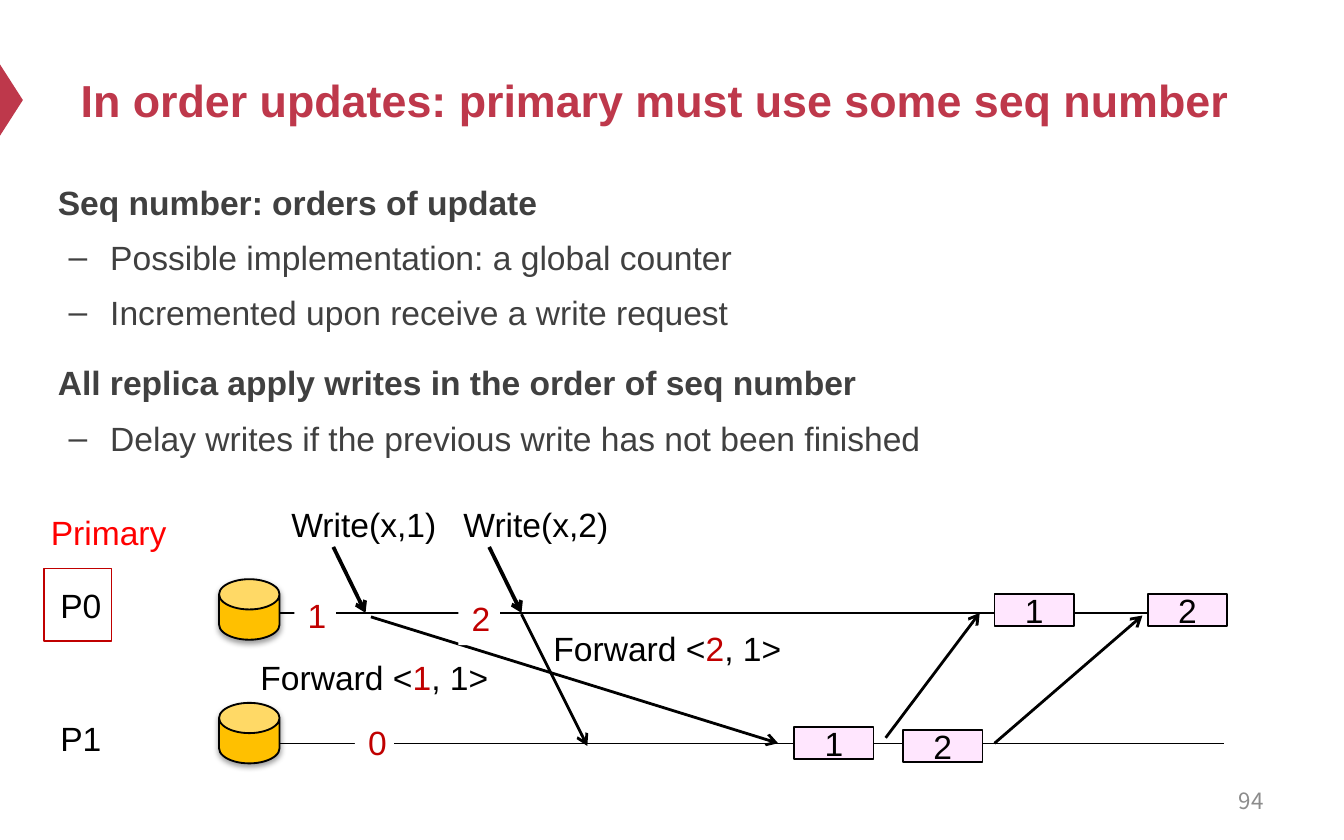
from typing import NamedTuple

from lxml.etree import SubElement
from pptx import Presentation
from pptx.dml.color import RGBColor
from pptx.enum.shapes import MSO_CONNECTOR as Conn, MSO_SHAPE as Geo
from pptx.enum.text import MSO_ANCHOR as Anchor, MSO_AUTO_SIZE as Fit, PP_ALIGN as Align
from pptx.oxml.ns import qn
from pptx.util import Inches, Pt

BLACK, RED, ROSE, GREY = "000000", "C00000", "BE384B", "404040"
P0_Y, P1_Y = 4.56, 5.53


class Label(NamedTuple):
    text: str  # parts between bars are red
    x: float
    y: float
    w: float
    color: str = BLACK


class Arrow(NamedTuple):
    x1: float
    y1: float
    x2: float
    y2: float
    width: float = 1.5


class Mark(NamedTuple):
    text: str
    x: float
    y: float
    w: float = 0.59
    h: float = 0.24


POINTS = [
    (0, "Seq number: orders of update"),
    (1, "Possible implementation: a global counter"),
    (1, "Incremented upon receive a write request"),
    (0, "All replica apply writes in the order of seq number"),
    (1, "Delay writes if the previous write has not been finished"),
]
LABELS = [
    Label("P0", 0.35, 4.3, 0.71),
    Label("P1", 0.35, 5.29, 0.71),
    Label("Primary", 0.28, 3.76, 1.5, "FF0000"),
    Label("Write(x,1)", 2.07, 3.7, 1.75),
    Label("Write(x,2)", 3.35, 3.7, 1.75),
    Label("Forward <|1|, 1>", 1.84, 4.84, 2.17),
    Label("Forward <|2|, 1>", 4.02, 4.62, 2.17),
]
ARROWS = [
    Arrow(2.48, 4.07, 2.72, P0_Y, 2),
    Arrow(3.64, 4.07, 3.88, P0_Y, 2),
    Arrow(2.76, 4.59, 5.79, P1_Y),
    Arrow(3.88, 4.57, 4.37, 5.55),
    Arrow(6.59, 5.49, 7.29, P0_Y),
    Arrow(7.4, P1_Y, 8.5, 4.58),
]
STEPS = [Mark("2", 6.72, 5.43), Mark("1", 5.91, 5.41), Mark("1", 7.4, 4.42), Mark("2", 8.54, 4.42)]
COUNTS = [
    Mark("1", 2.19, 4.38, 0.31, 0.4),
    Mark("2", 3.41, 4.4, 0.31, 0.4),
    Mark("0", 2.64, 5.32, 0.29, 0.4),
]


def rgb(code: str) -> RGBColor:
    return RGBColor.from_string(code)


def write(para, text: str, *, size=18, color=BLACK, bold=False, font="Arial", align=Align.LEFT):
    """Add the text to a paragraph, with parts between bars in red."""
    para.alignment = align
    for i, part in enumerate(text.split("|")):
        run = para.add_run()
        run.text = part
        run.font.size, run.font.bold, run.font.name = Pt(size), bold, font
        run.font.color.rgb = rgb(RED if i % 2 else color)


def place(shape, x: float, y: float, w: float, h: float):
    shape.left, shape.top, shape.width, shape.height = map(Inches, (x, y, w, h))


def add_text(slide, x: float, y: float, w: float, h: float, text: str, anchor=Anchor.TOP, **style):
    frame = slide.shapes.add_textbox(*map(Inches, (x, y, w, h))).text_frame
    frame.word_wrap, frame.vertical_anchor = True, anchor
    write(frame.paragraphs[0], text, **style)


def add_shape(slide, geo, x: float, y: float, w: float, h: float, fill=None, line=None):
    shape = slide.shapes.add_shape(geo, *map(Inches, (x, y, w, h)))
    shape.shadow.inherit = False
    if fill:
        shape.fill.solid()
        shape.fill.fore_color.rgb = rgb(fill)
    else:
        shape.fill.background()
    if line:
        shape.line.color.rgb = rgb(line)
        shape.line.width = Pt(1)
    else:
        shape.line.fill.background()
    return shape


def add_mark(slide, mark: Mark, fill: str, line=None, anchor=Anchor.MIDDLE, **style):
    shape = add_shape(slide, Geo.RECTANGLE, mark.x, mark.y, mark.w, mark.h, fill, line)
    shape.text_frame.vertical_anchor = anchor
    write(shape.text_frame.paragraphs[0], mark.text, **style)


def add_line(slide, x1: float, y1: float, x2: float, y2: float, width: float, head=False):
    line = slide.shapes.add_connector(Conn.STRAIGHT, *map(Inches, (x1, y1, x2, y2)))
    line.line.color.rgb = rgb(BLACK)
    line.line.width = Pt(width)
    if head:
        SubElement(line.line._get_or_add_ln(), qn("a:tailEnd"), type="arrow")
    SubElement(line._element.spPr, qn("a:effectLst"))


def add_store(slide, y: float):
    can = add_shape(slide, Geo.CAN, 1.63, y, 0.45, 0.45, "FFC000", BLACK)
    can.adjustments[0] = 0.5
    effects = can._element.spPr.find(qn("a:effectLst"))
    shade = SubElement(effects, qn("a:outerShdw"), blurRad=str(Pt(3.1)), dist=str(Pt(1.6)),
                       dir="5400000", rotWithShape="0")
    color = SubElement(shade, qn("a:srgbClr"), val=BLACK)
    SubElement(color, qn("a:alpha"), val="38000")


def fill_body(body):
    frame = body.text_frame
    frame.auto_size, frame.vertical_anchor = Fit.NONE, Anchor.TOP
    for i, (level, text) in enumerate(POINTS):
        para = frame.add_paragraph() if i else frame.paragraphs[0]
        para.level, para.line_spacing = level, 1.2
        para.space_before = Pt(0 if i == 0 else 3.6 if level else 12)
        props = para._p.get_or_add_pPr()
        props.set("marL", str(Inches(0.39 * level)))
        props.set("indent", str(Inches(-0.31 * level)))
        if level:
            SubElement(props, qn("a:buFont"), typeface="Arial")
            SubElement(props, qn("a:buChar"), char="–")
        else:
            SubElement(props, qn("a:buNone"))
        write(para, text, color=GREY, bold=level == 0)


def main():
    deck = Presentation()
    deck.slide_width, deck.slide_height = Inches(10), Inches(6.25)
    slide = deck.slides.add_slide(deck.slide_layouts[1])

    title, body = slide.placeholders
    place(title, 0.5, 0.25, 9, 0.98)
    title.text_frame.auto_size = Fit.NONE
    title.text_frame.vertical_anchor = Anchor.MIDDLE
    write(title.text_frame.paragraphs[0], "In order updates: primary must use some seq number",
          size=24, color=ROSE, bold=True)
    place(body, 0.33, 1.24, 9, 2.48)
    fill_body(body)

    add_shape(slide, Geo.ISOSCELES_TRIANGLE, -0.18, 0.66, 0.53, 0.17, ROSE).rotation = 90
    add_text(slide, 7.17, 5.79, 2.33, 0.33, "94", Anchor.MIDDLE, size=12, color="8C8C8C",
             font="Noto Sans CJK SC", align=Align.RIGHT)

    for y in (P0_Y, P1_Y):
        add_line(slide, 1.71, y, 9.11, y, 0.75)
    for y in (4.31, 5.23):
        add_store(slide, y)
    add_shape(slide, Geo.RECTANGLE, 0.33, 4.23, 0.5, 0.54, line=RED)
    for arrow in ARROWS:
        add_line(slide, *arrow, head=True)
    for label in LABELS:
        add_text(slide, label.x, label.y, label.w, 0.4, label.text, color=label.color)
    for step in STEPS:
        add_mark(slide, step, "FFE6FE", BLACK, align=Align.CENTER)
    for count in COUNTS:
        add_mark(slide, count, "FFFFFF", anchor=Anchor.TOP, color=RED)

    deck.save("out.pptx")


if __name__ == "__main__":
    main()
